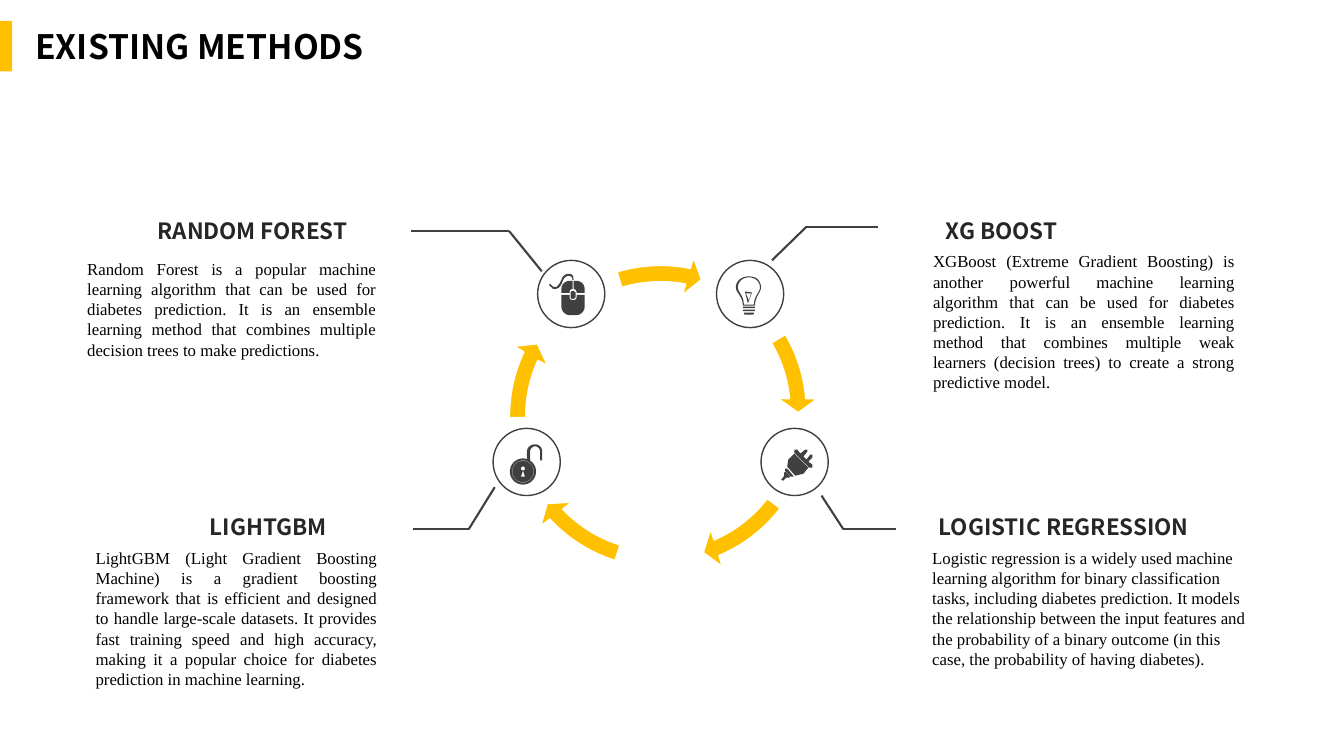
import math

import pptx
import pptx.chart.data
import pptx.dml.color
import pptx.enum.shapes
import pptx.enum.text
import pptx.oxml.ns
import pptx.util
from lxml import etree

C = {"gold": "FFC000", "icon": "404040", "head": "262626", "black": "000000", "white": "FFFFFF"}
HEAD_FONT, BODY_FONT = "Noto Sans CJK SC", "Times New Roman"
SHAPE = pptx.enum.shapes.MSO_SHAPE
ALIGN = pptx.enum.text.PP_ALIGN

# Grid of 160 columns by 90 rows, with square cells
COLS, ROWS = 160, 90
CELL = pptx.util.Inches(7.5) / ROWS
ICON_UNIT = 0.12  # one icon unit, in cells


def grid(*cells):
    return [round(c * CELL) for c in cells]


def rgb(name):
    return pptx.dml.color.RGBColor.from_string(C[name])


def paint(sp, fill=None, line=None, width=1):
    sp.shadow.inherit = False
    if fill:
        sp.fill.solid()
        sp.fill.fore_color.rgb = rgb(fill)
    else:
        sp.fill.background()
    if line:
        sp.line.color.rgb = rgb(line)
        sp.line.width = pptx.util.Pt(width)
    else:
        sp.line.fill.background()


def write(tf, text, align, **font):
    tf.word_wrap = True
    tf.auto_size = pptx.enum.text.MSO_AUTO_SIZE.NONE
    tf.vertical_anchor = pptx.enum.text.MSO_ANCHOR.TOP
    p = tf.paragraphs[0]
    p.alignment = align
    r = p.add_run()
    r.text = text
    r.font.color.rgb = rgb(font.pop("color"))
    for name, value in font.items():
        setattr(r.font, name, value)


HEAD = dict(name=HEAD_FONT, size=pptx.util.Pt(16), bold=True, color="head")
BODY = dict(name=BODY_FONT, size=pptx.util.Pt(12), bold=False, color="black")


# Icon outlines: a pair is a corner, six numbers are a Bezier curve
def disc(x, y, radius):
    turns = [math.radians(a) for a in range(0, 360, 10)]
    return [(x + radius * math.cos(a), y + radius * math.sin(a)) for a in turns]


def bar(x, y, w, h):
    return [(x, y), (x + w, y), (x + w, y + h), (x, y + h)]


MOUSE = [
    [(27, 41), (20, 41), (16, 41, 12, 37, 12, 33), (12, 21), (20, 21), (20, 23),
     (20, 25, 21, 26, 23, 26), (24, 26), (26, 26, 27, 25, 27, 23), (27, 21), (35, 21),
     (35, 33), (35, 37, 31, 41, 27, 41)],
    [(27, 18), (27, 17, 26, 15, 24, 15), (24, 7), (27, 7), (31, 7, 35, 10, 35, 15),
     (35, 19), (27, 19)],
    [(20, 7), (23, 7), (23, 15), (21, 15, 20, 17, 20, 18), (20, 19), (12, 19), (12, 15),
     (12, 10, 16, 7, 20, 7)],
    [(26, 19), (26, 23), (26, 24, 24, 25, 23, 25), (22, 25, 21, 24, 21, 23), (21, 19),
     (21, 18, 22, 17, 23, 17), (24, 17, 26, 18, 26, 19)],
    [(23, 6), (23, 4, 22, 2, 19, 2), (17, 2, 14, 4, 13, 8), (11, 13, 9, 15, 5, 15),
     (4, 15, 3, 15, 2, 13), (1, 13, 0, 12, 0, 10), (1, 10), (2, 11, 3, 13, 5, 13),
     (7, 13, 8, 13, 8, 12), (9, 11, 10, 10, 11, 8), (12, 6), (13, 2, 16, 0, 19, 0),
     (23, 0, 24, 2, 24, 6)],
]
BULB = [
    [(19, 29), (19, 20, 25, 16, 25, 11), (25, 6, 22, 0, 13, 0), (5, 0, 0, 5, 0, 11),
     (0, 16, 7, 20, 7, 29)],
    [(8, 28), (8, 19, 2, 16, 2, 11), (2, 6, 6, 1, 13, 1), (20, 1, 24, 6, 24, 11),
     (24, 16, 18, 19, 18, 28)],
    [(16, 16), (9, 15), (12, 27)],
    [(15, 17), (10, 17), (13, 24)],
    bar(7, 30, 12, 1.5), bar(7, 33, 12, 1.5),
    [(8, 36), (18, 36), (18, 38, 17, 38, 16, 38), (10, 38), (9, 38, 8, 38, 8, 36)],
]
PLUG = [
    [(28, 19), (13, 4), (13, 1), (16, 1), (19, 5), (24, 1), (26, 1), (26, 3), (22, 8),
     (25, 11), (29, 6), (31, 6), (31, 9), (27, 13), (31, 16), (31, 19)],
    [(22, 25), (14, 27), (6, 18), (7, 11), (13, 5), (27, 19)],
    [(6, 20), (12, 27), (12, 28), (10, 28), (4, 22), (4, 20)],
    [(9, 28), (8, 29), (5, 29), (2, 32), (0, 31), (3, 27), (3, 24), (4, 23)],
]
LOCK = [
    [(17, 14), (17, 7), (17, 3, 21, 0, 25, 0), (29, 0, 32, 3, 32, 7), (32, 16), (30, 16),
     (30, 7), (30, 5, 28, 2, 25, 2), (22, 2, 20, 5, 20, 7), (20, 16)],
    disc(13, 27, 13), disc(13, 27, 11), disc(13, 27, 10.5), disc(13, 24, 2),
    [(13, 26), (15, 32), (11, 32)],
]


def flatten(contour):
    points = []
    for step in contour:
        if len(step) == 2:
            points.append(step)
            continue
        ctrl = [points[-1], step[:2], step[2:4], step[4:]]
        for t in (i / 8 for i in range(1, 9)):
            weights = [math.comb(3, k) * t**k * (1 - t)**(3 - k) for k in range(4)]
            points.append(tuple(sum(w * c[a] for w, c in zip(weights, ctrl)) for a in (0, 1)))
    return [(100 * x, 100 * y) for x, y in points]


def add_icon(s, x, y, contours):
    first, *rest = [flatten(c) for c in contours]
    fb = s.shapes.build_freeform(*first[0], scale=CELL * ICON_UNIT / 100)
    fb.add_line_segments(first[1:], close=True)
    for points in rest:
        fb.move_to(*points[0])
        fb.add_line_segments(points[1:], close=True)
    paint(fb.convert_to_shape(*grid(x, y)), "icon")


def add_title(s, x, y, w, h):
    mark = s.shapes.add_shape(SHAPE.RECTANGLE, *grid(0, y, 1.45, h))
    paint(mark, "gold")
    title = s.shapes.title
    title.left, title.top, title.width, title.height = grid(x, y, w, h)
    write(title.text_frame, "EXISTING METHODS", ALIGN.LEFT, name=HEAD_FONT,
          size=pptx.util.Pt(24), bold=True, color="black")


def add_cycle(s, x, y, size):
    # Head and tail angles of each arrow; the first sits slightly up and left
    arrows = [(212.94, 197.66), (40.15, 22.53), (82.11, 64.49), (122.99, 107.7), (168.66, 151.98)]
    for i, (head, tail) in enumerate(arrows):
        shift = 0.6 if i == 0 else 0
        sp = s.shapes.add_shape(SHAPE.CIRCULAR_ARROW, *grid(x - shift, y - shift, size, size))
        for k, value in enumerate((0.05, 3.36, head, tail, 0.06)):
            sp.adjustments[k] = value
        paint(sp, "gold", "white")


def add_node(s, x, y, contours, inset, leader):
    # Leader line, ring and icon, all relative to the ring's corner
    for (x1, y1), (x2, y2) in zip(leader, leader[1:]):
        cn = s.shapes.add_connector(pptx.enum.shapes.MSO_CONNECTOR.STRAIGHT,
                                    *grid(x + x1, y + y1, x + x2, y + y2))
        cn.line.color.rgb = rgb("icon")
        cn.line.width = pptx.util.Pt(1.5)
        etree.SubElement(cn._element.spPr, pptx.oxml.ns.qn("a:effectLst"))
    paint(s.shapes.add_shape(SHAPE.OVAL, *grid(x, y, 8, 8)), line="icon")
    add_icon(s, x + inset[0], y + inset[1], contours)


def add_method(s, head_box, head, head_align, body_box, body, body_align):
    for box, text, align, font in ((head_box, head, head_align, HEAD),
                                   (body_box, body, body_align, BODY)):
        write(s.shapes.add_textbox(*grid(*box)).text_frame, text, align, **font)


METHODS = [
    ((17.6, 25.3, 31.2, 4.4), "RANDOM FOREST", ALIGN.LEFT, (9.2, 30.2, 36.8, 15.7),
     "Random Forest is a popular machine learning algorithm that can be used for diabetes prediction. It is an ensemble learning method that combines multiple decision trees to make predictions.", ALIGN.JUSTIFY),
    ((23.8, 60.5, 25.1, 4.4), "LIGHTGBM", ALIGN.LEFT, (10.2, 64.6, 35.9, 18.1),
     "LightGBM (Light Gradient Boosting Machine) is a gradient boosting framework that is efficient and designed to handle large-scale datasets. It provides fast training speed and high accuracy, making it a popular choice for diabetes prediction in machine learning.", ALIGN.JUSTIFY),
    ((106.7, 25.3, 25.1, 4.4), "XG BOOST", ALIGN.CENTER, (109.9, 29.3, 38.3, 18.1),
     "XGBoost (Extreme Gradient Boosting) is another powerful machine learning algorithm that can be used for diabetes prediction. It is an ensemble learning method that combines multiple weak learners (decision trees) to create a strong predictive model.", ALIGN.JUSTIFY),
    ((106.8, 60.5, 39.7, 4.4), "LOGISTIC REGRESSION", ALIGN.CENTER, (109.8, 64.6, 40.7, 15.7),
     "Logistic regression is a widely used machine learning algorithm for binary classification tasks, including diabetes prediction. It models the relationship between the input features and the probability of a binary outcome (in this case, the probability of having diabetes).", ALIGN.LEFT),
]
NODES = [
    (85.3, 31, BULB, (2.3, 1.9), [(6.6, 0), (10.7, -4), (19.2, -4)]),
    (64, 31, MOUSE, (1.4, 1.6), [(0.5, 1.3), (-3.4, -3.5), (-15.1, -3.5)]),
    (90.6, 51, PLUG, (2.4, 2.4), [(7.2, 8), (9.8, 12), (16.1, 12)]),
    (58.7, 51, LOCK, (2, 1.9), [(0.2, 7), (-2.9, 12), (-9.5, 12)]),
]


def main():
    prs = pptx.Presentation()
    prs.slide_width, prs.slide_height = grid(COLS, ROWS)
    s = prs.slides.add_slide(prs.slide_layouts[5])
    add_title(s, 3, 2.5, 45.7, 6)
    add_cycle(s, 59.3, 30.25, 38.65)
    for node in NODES:
        add_node(s, *node)
    for method in METHODS:
        add_method(s, *method)
    prs.save("out.pptx")


if __name__ == "__main__":
    main()
